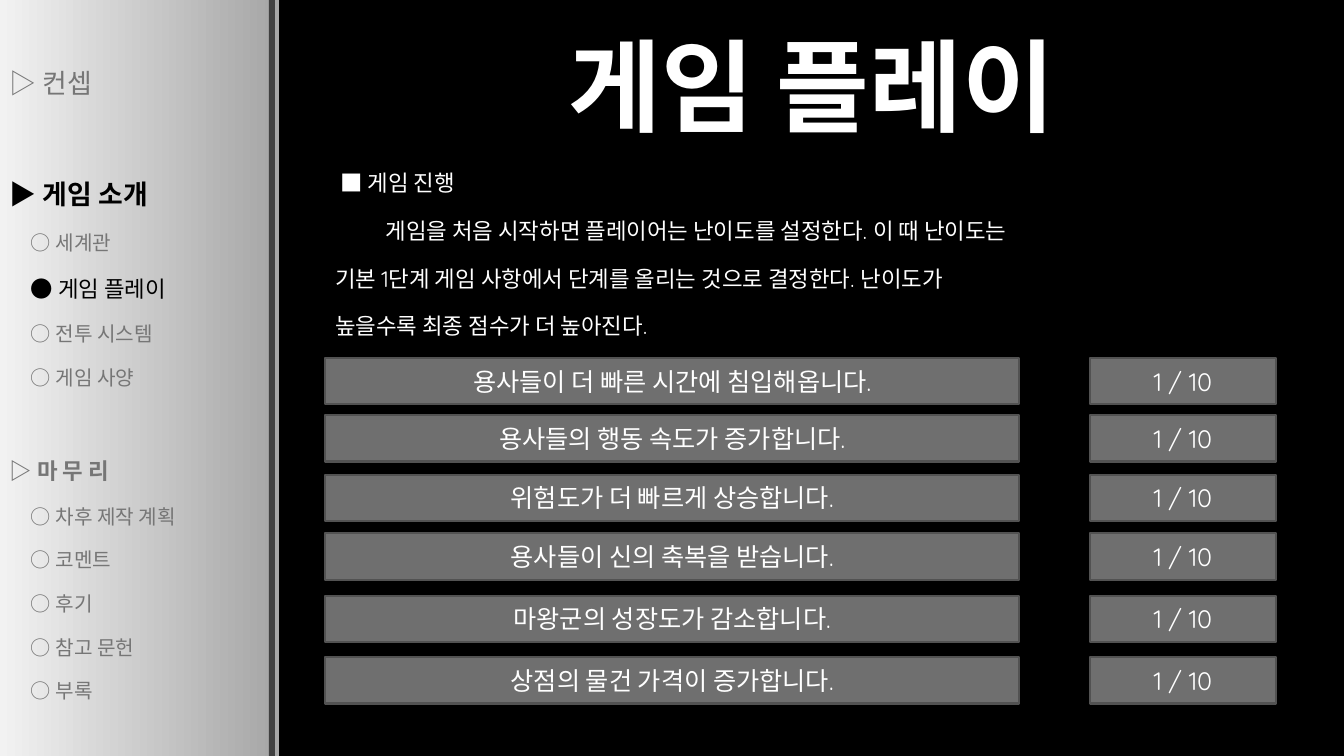
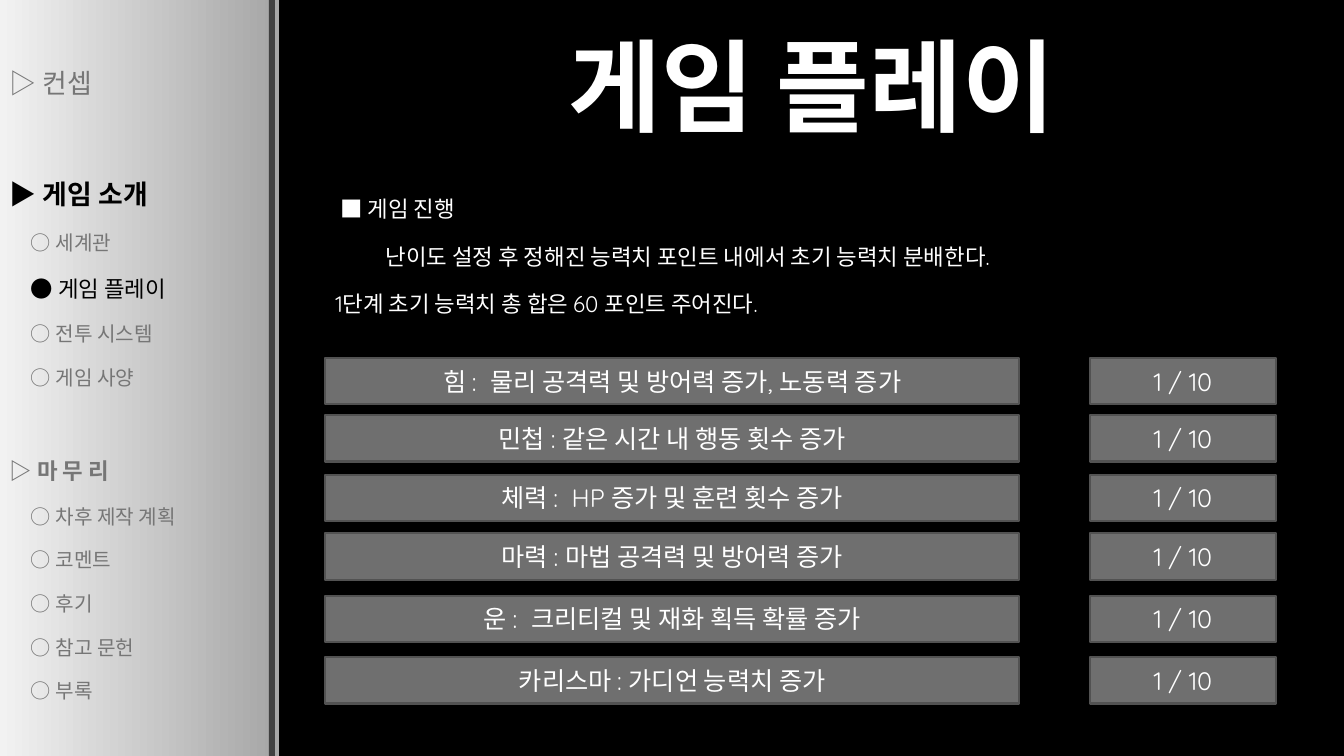
from lxml import etree
from pptx import Presentation
from pptx.dml.color import RGBColor
from pptx.enum.shapes import MSO_SHAPE
from pptx.enum.text import MSO_ANCHOR, PP_ALIGN
from pptx.oxml.ns import qn
from pptx.util import Cm, Pt

RECT = MSO_SHAPE.RECTANGLE
MIDDLE, TOP = MSO_ANCHOR.MIDDLE, MSO_ANCHOR.TOP
CENTER = PP_ALIGN.CENTER

COLORS = {
    "black": "000000", "white": "FFFFFF", "muted": "767676",
    "side_dark": "A6A6A6", "side_light": "F2F2F2", "divider": "404040",
    "title_end": "A6A6A6", "body_end": "BFBFBF",
    "box": "6F6F6F", "box_line": "525252",
}
BODY_FONT, TITLE_FONT = "Quicksand", "Roboto"
TITLE = "게임 플레이"
SCORE = "1 / 10"

MENU = [
    ("▷ 컨셉", 24, "muted", False, 0, 0),
    ("▶ 게임 소개", 24, "black", True, 0, 24),
    ("○ 세계관", 18, "muted", False, 1, 0),
    ("● 게임 플레이", 20, "black", False, 1, 0),
    ("○ 전투 시스템", 18, "muted", False, 1, 0),
    ("○ 게임 사양", 18, "muted", False, 1, 0),
    ("▷ 마 무 리", 20, "muted", True, 0, 20),
    ("○ 차후 제작 계획", 18, "muted", False, 1, 0),
    ("○ 코멘트", 18, "muted", False, 1, 0),
    ("○ 후기", 18, "muted", False, 1, 0),
    ("○ 참고 문헌", 18, "muted", False, 1, 0),
    ("○ 부록", 18, "muted", False, 1, 0),
]

SLIDES = [
    {
        "body_at": (3.96, 4.78),
        "body": [
            " ■ 게임 진행",
            "게임을 처음 시작하면 플레이어는 난이도를 설정한다. 이 때 난이도는",
            "기본 1단계 게임 사항에서 단계를 올리는 것으로 결정한다. 난이도가",
            "높을수록 최종 점수가 더 높아진다.",
        ],
        "rows": [
            "용사들이 더 빠른 시간에 침입해옵니다.",
            "용사들의 행동 속도가 증가합니다.",
            "위험도가 더 빠르게 상승합니다.",
            "용사들이 신의 축복을 받습니다.",
            "마왕군의 성장도가 감소합니다.",
            "상점의 물건 가격이 증가합니다.",
        ],
    },
    {
        "body_at": (4.24, 4.32),
        "body": [
            " ■ 게임 진행",
            "난이도 설정 후 정해진 능력치 포인트 내에서 초기 능력치 분배한다.",
            "1단계 초기 능력치 총 합은 60 포인트 주어진다.",
        ],
        "rows": [
            "힘 :  물리 공격력 및 방어력 증가, 노동력 증가",
            "민첩 : 같은 시간 내 행동 횟수 증가",
            "체력 :  HP 증가 및 훈련 횟수 증가",
            "마력 : 마법 공격력 및 방어력 증가",
            "운 :  크리티컬 및 재화 획득 확률 증가",
            "카리스마 : 가디언 능력치 증가",
        ],
    },
]

SLIDE_W, SLIDE_H = 33.87, 19.05
SIDE_W = 7.04
CONTENT_X = 8.2
ROW_TOPS = [9.02, 10.46, 11.96, 13.44, 15.01, 16.56]
ROW_H = 1.17
COLUMNS = [(CONTENT_X, 17.48), (27.46, 4.7)]


def rgb(name):
    return RGBColor.from_string(COLORS[name])


def set_gradient(fill, start, end, angle):
    fill.gradient()
    fill.gradient_angle = angle
    for stop, name in zip(fill.gradient_stops, (start, end)):
        stop.color.rgb = rgb(name)


def add_run(p, text, size, font=BODY_FONT, color="white", end=None, bold=False, small=False):
    r = p.add_run()
    r.text = text
    r.font.size, r.font.name, r.font.bold = Pt(size), font, bold
    if end:
        set_gradient(r.font.fill, color, end, 267)
    else:
        r.font.color.rgb = rgb(color)
    if small:
        r.font._element.set("cap", "small")


def set_spacing(p, gap_size=0, size=0):
    p.space_after = Pt(6)
    if gap_size:
        p.space_before = Pt(round(1.4 * gap_size + 6 + 0.2 * size, 1))
        return
    p.space_before = Pt(0)
    before = p._p.pPr.find(qn("a:spcBef"))
    before.remove(before[0])
    etree.SubElement(before, qn("a:spcPct")).set("val", "20000")


def add_rect(s, x, y, w, h):
    sp = s.shapes.add_shape(RECT, Cm(x), Cm(y), Cm(w), Cm(h))
    sp.shadow.inherit = False
    sp.line.fill.background()
    return sp


def add_text(s, x, y, w, h, anchor=MIDDLE):
    tf = s.shapes.add_textbox(Cm(x), Cm(y), Cm(w), Cm(h)).text_frame
    tf.word_wrap = True
    tf.vertical_anchor = anchor
    return tf


def paragraphs(tf, items):
    for i, item in enumerate(items):
        yield (tf.add_paragraph() if i else tf.paragraphs[0]), i, item


def add_sidebar(s):
    panel = add_rect(s, 0, 0, SIDE_W, SLIDE_H)
    set_gradient(panel.fill, "side_dark", "side_light", 180)
    tf = add_text(s, 0, 0, 7.32, SLIDE_H, TOP)
    tf.margin_top = Cm(1.52)
    for p, i, (text, size, color, bold, level, gap_size) in paragraphs(tf, MENU):
        set_spacing(p, gap_size, size)
        if i == 0:
            p.space_before = Pt(0)
        p._p.get_or_add_pPr().set("marL", str(Cm(0.53 * level)))
        add_run(p, text, size, color=color, bold=bold, small=True)
    divider = add_rect(s, 6.78, 0, 0.15, SLIDE_H)
    divider.fill.solid()
    divider.fill.fore_color.rgb = rgb("divider")


def add_title(s):
    p = add_text(s, SIDE_W, 0, SLIDE_W - SIDE_W, 4.24).paragraphs[0]
    p.alignment = CENTER
    add_run(p, TITLE, 72, TITLE_FONT, end="title_end", bold=True)


def add_body(s, top, height, lines):
    tf = add_text(s, CONTENT_X, top, 24.49, height)
    for p, i, text in paragraphs(tf, lines):
        set_spacing(p)
        if i == 1:
            p._p.get_or_add_pPr().set("indent", str(Cm(1.27)))
        add_run(p, text, 20, end="body_end", small=True)


def add_box(s, x, y, w, text):
    sp = add_rect(s, x, y, w, ROW_H)
    sp.fill.solid()
    sp.fill.fore_color.rgb = rgb("box")
    sp.line.color.rgb = rgb("box_line")
    sp.line.width = Pt(1.5)
    tf = sp.text_frame
    tf.word_wrap = True
    tf.vertical_anchor = MIDDLE
    p = tf.paragraphs[0]
    p.alignment = CENTER
    add_run(p, text, 18)


def main():
    prs = Presentation()
    prs.slide_width, prs.slide_height = Cm(SLIDE_W), Cm(SLIDE_H)
    background = prs.slide_master.background.fill
    background.solid()
    background.fore_color.rgb = rgb("black")
    for content in SLIDES:
        s = prs.slides.add_slide(prs.slide_layouts[6])
        add_sidebar(s)
        add_title(s)
        add_body(s, *content["body_at"], content["body"])
        for y, text in zip(ROW_TOPS, content["rows"]):
            for (x, w), label in zip(COLUMNS, (text, SCORE)):
                add_box(s, x, y, w, label)
    prs.save("out.pptx")


if __name__ == "__main__":
    main()
